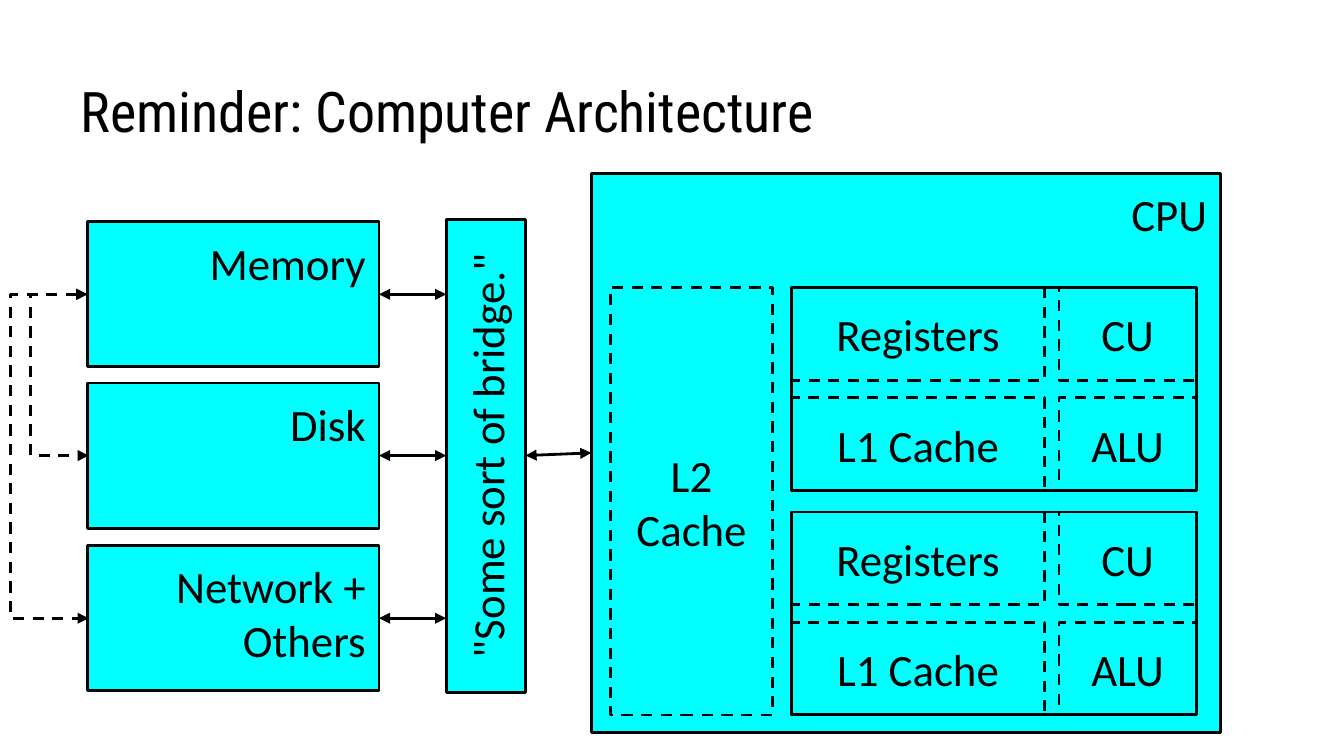
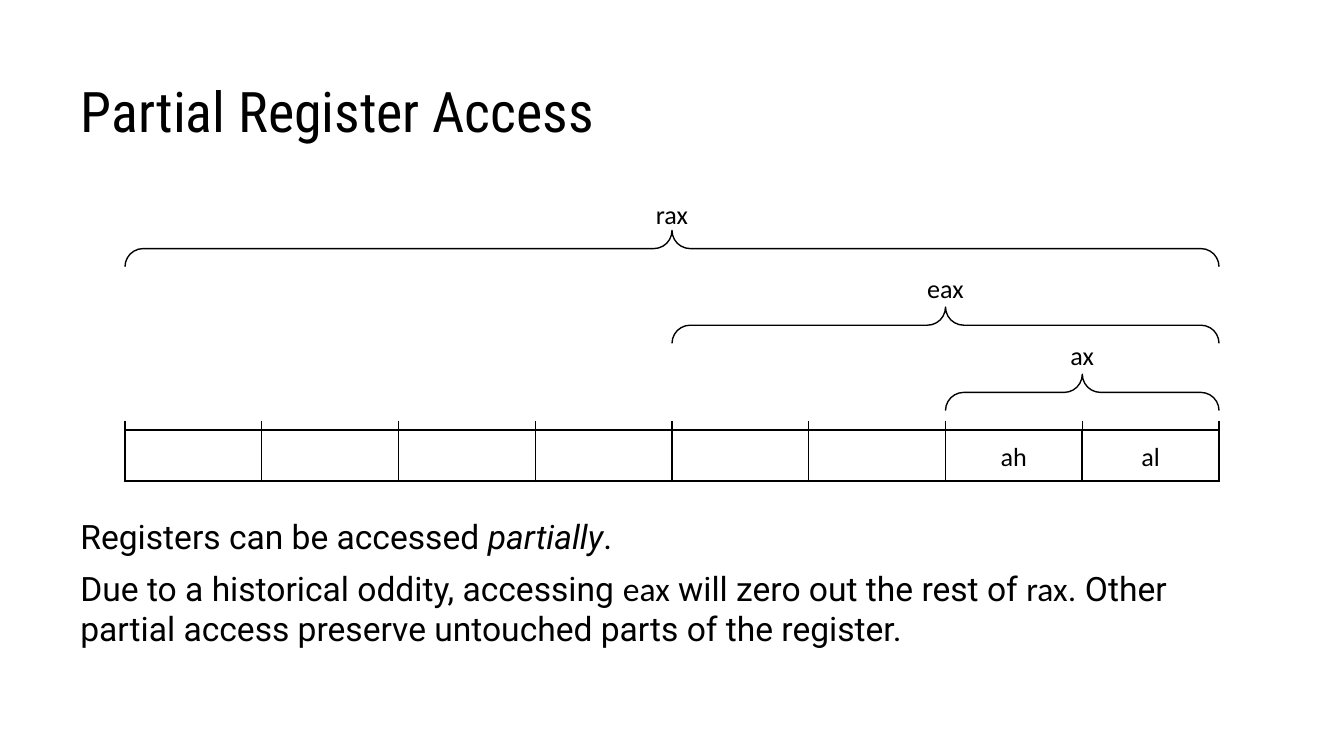
from lxml.etree import SubElement
from pptx import Presentation
from pptx.dml.color import RGBColor
from pptx.enum.dml import MSO_LINE
from pptx.enum.shapes import MSO_CONNECTOR, MSO_SHAPE
from pptx.enum.text import MSO_ANCHOR, MSO_AUTO_SIZE, PP_ALIGN
from pptx.oxml.ns import qn
from pptx.util import Inches, Pt

BLACK = RGBColor(0x00, 0x00, 0x00)
CYAN = RGBColor(0x00, 0xFF, 0xFF)
TITLE_FONT = "Roboto Condensed"
BODY_FONT = "Roboto"
LABEL_FONT = "Calibri"
TITLE_ONLY = 5
SLIDE_WIDTH = Inches(10)
SLIDE_HEIGHT = SLIDE_WIDTH * 9 // 16

THICK, THIN = 1.5, 0.75
BLOCK_SIZE, REGISTER_SIZE = 24, 14

DEVICE_LEFT, DEVICE_WIDTH, DEVICE_HEIGHT = 0.65, 2.17, 1.08
DEVICES = [("Memory", 1.65), ("Disk", 2.85), ("Network + Others", 4.06)]
BRIDGE_LEFT, BRIDGE_WIDTH, BRIDGE_LENGTH, BRIDGE_MIDDLE = 3.32, 0.59, 3.52, 3.39
CPU_LEFT = 4.4
CORE_LEFT, CORE_WIDTH, CORE_HEIGHT = 5.89, 3.01, 1.51
CORE_TOPS = [2.14, 3.81]
CORE_COLUMNS = [(0, 1.88), (1.99, 1.02)]
CORE_UNITS = [["Registers", "CU"], ["L1 Cache", "ALU"]]
UNIT_HEIGHT, UNIT_PITCH = 0.69, 0.82

BYTES = 8
REGISTER_LEFT, REGISTER_RIGHT = 0.93, 9.07
REGISTER_TOP, REGISTER_HEIGHT = 3.2, 0.38
BYTE_WIDTH = (REGISTER_RIGHT - REGISTER_LEFT) / BYTES
BRACE_DEPTH = 0.27
NAMED_PARTS = [("rax", 8, 1.85, 1.4), ("eax", 4, 2.42, 1.95), ("ax", 2, 2.92, 2.45)]


def set_frame(frame, anchor):
    frame.word_wrap = True
    frame.auto_size = MSO_AUTO_SIZE.NONE
    frame.vertical_anchor = anchor
    frame.margin_left = frame.margin_right = Inches(0.1)
    frame.margin_top = frame.margin_bottom = Inches(0.1)


def add_run(paragraph, text, size, font=LABEL_FONT, italic=False):
    run = paragraph.add_run()
    run.text = text
    run.font.name = font
    run.font.size = Pt(size)
    run.font.italic = italic
    run.font.color.rgb = BLACK


def write_lines(frame, lines, size, align, anchor):
    set_frame(frame, anchor)
    for index, line in enumerate(lines):
        paragraph = frame.add_paragraph() if index else frame.paragraphs[0]
        paragraph.alignment = align
        add_run(paragraph, line, size)


def add_titled_slide(deck, heading):
    slide = deck.slides.add_slide(deck.slide_layouts[TITLE_ONLY])
    title = slide.shapes.title
    title.left, title.top = Inches(0.5), Inches(0.23)
    title.width, title.height = Inches(9), Inches(0.94)
    set_frame(title.text_frame, MSO_ANCHOR.BOTTOM)
    paragraph = title.text_frame.paragraphs[0]
    paragraph.alignment = PP_ALIGN.LEFT
    add_run(paragraph, heading, 30, TITLE_FONT)
    return slide


def style_line(line, weight, dashed=False):
    line.color.rgb = BLACK
    line.width = Pt(weight)
    if dashed:
        line.dash_style = MSO_LINE.DASH


def add_outline(slide, left, top, width, height, weight, kind=MSO_SHAPE.RECTANGLE):
    outline = slide.shapes.add_shape(
        kind, Inches(left), Inches(top), Inches(width), Inches(height))
    outline.shadow.inherit = False
    outline.fill.background()
    style_line(outline.line, weight)
    return outline


def add_block(slide, left, top, width, height, lines, align=PP_ALIGN.CENTER,
              anchor=MSO_ANCHOR.MIDDLE, dashed=False):
    block = add_outline(slide, left, top, width, height, THICK)
    block.fill.solid()
    block.fill.fore_color.rgb = CYAN
    style_line(block.line, THICK, dashed)
    write_lines(block.text_frame, lines, BLOCK_SIZE, align, anchor)
    return block


def add_line(slide, start, end, weight, arrows=False, dashed=False,
             kind=MSO_CONNECTOR.STRAIGHT):
    line = slide.shapes.add_connector(
        kind, Inches(start[0]), Inches(start[1]), Inches(end[0]), Inches(end[1]))
    style_line(line.line, weight, dashed)
    properties = line._element.spPr
    if arrows:
        stroke = properties.find(qn("a:ln"))
        for tip in ("a:headEnd", "a:tailEnd"):
            SubElement(stroke, qn(tip), type="triangle")
    SubElement(properties, qn("a:effectLst"))
    return line


def add_direct_path(slide, top, bottom, spine):
    span = 0.01
    route = add_line(slide, (DEVICE_LEFT, top), (DEVICE_LEFT + span, bottom), THICK,
                     arrows=True, dashed=True, kind=MSO_CONNECTOR.ELBOW)
    bend = round((spine - DEVICE_LEFT) / span * 100000)
    guides = route._element.spPr.find(qn("a:prstGeom")).get_or_add_avLst()
    SubElement(guides, qn("a:gd"), name="adj1", fmla=f"val {bend}")


def add_core(slide, top):
    for row, units in enumerate(CORE_UNITS):
        for (offset, width), unit in zip(CORE_COLUMNS, units):
            add_block(slide, CORE_LEFT + offset, top + row * UNIT_PITCH,
                      width, UNIT_HEIGHT, [unit], dashed=True)
    add_outline(slide, CORE_LEFT, top, CORE_WIDTH, CORE_HEIGHT, THICK)


def add_register_label(slide, left, top, name):
    label = slide.shapes.add_textbox(
        Inches(left), Inches(top), Inches(BYTE_WIDTH), Inches(REGISTER_HEIGHT))
    write_lines(label.text_frame, [name], REGISTER_SIZE, PP_ALIGN.CENTER,
                MSO_ANCHOR.MIDDLE)


def add_named_part(slide, name, byte_count, brace_middle, label_top):
    span = byte_count * BYTE_WIDTH
    center = REGISTER_RIGHT - span / 2
    brace = add_outline(slide, center - BRACE_DEPTH / 2, brace_middle - span / 2,
                        BRACE_DEPTH, span, THIN, MSO_SHAPE.LEFT_BRACE)
    brace.adjustments[0] = brace.adjustments[1] = 0.5
    brace.rotation = 90
    add_register_label(slide, center - BYTE_WIDTH / 2, label_top, name)


def add_body(slide, paragraphs):
    body = slide.shapes.add_textbox(Inches(0.5), Inches(3.74), Inches(9), Inches(1.65))
    frame = body.text_frame
    set_frame(frame, MSO_ANCHOR.TOP)
    for index, runs in enumerate(paragraphs):
        paragraph = frame.add_paragraph() if index else frame.paragraphs[0]
        paragraph.space_before = Pt(6)
        for text, font, italic in runs:
            add_run(paragraph, text, 18, font, italic)


def build_architecture(deck):
    slide = add_titled_slide(deck, "Reminder: Computer Architecture")
    add_block(slide, CPU_LEFT, 1.29, 4.68, 4.16, ["CPU"], PP_ALIGN.RIGHT, MSO_ANCHOR.TOP)
    for name, top in DEVICES:
        add_block(slide, DEVICE_LEFT, top, DEVICE_WIDTH, DEVICE_HEIGHT, [name],
                  PP_ALIGN.RIGHT, MSO_ANCHOR.TOP)
    bridge = add_block(
        slide, BRIDGE_LEFT + (BRIDGE_WIDTH - BRIDGE_LENGTH) / 2,
        BRIDGE_MIDDLE - BRIDGE_WIDTH / 2, BRIDGE_LENGTH, BRIDGE_WIDTH,
        ['"Some sort of bridge."'], anchor=MSO_ANCHOR.TOP)
    bridge.rotation = 270

    add_line(slide, (BRIDGE_LEFT + BRIDGE_WIDTH, BRIDGE_MIDDLE), (CPU_LEFT, 3.37),
             THICK, arrows=True)
    middles = [top + DEVICE_HEIGHT / 2 for _, top in DEVICES]
    for middle in middles:
        add_line(slide, (DEVICE_LEFT + DEVICE_WIDTH, middle), (BRIDGE_LEFT, middle),
                 THICK, arrows=True)
    memory, disk, network = middles
    add_direct_path(slide, memory, network, 0.07)
    add_direct_path(slide, memory, disk, 0.22)

    add_block(slide, 4.54, 2.14, 1.21, 3.18, ["L2", "Cache"], dashed=True)
    for top in CORE_TOPS:
        add_core(slide, top)


def build_register_access(deck):
    slide = add_titled_slide(deck, "Partial Register Access")
    for byte_count in (8, 4):
        span = byte_count * BYTE_WIDTH
        add_outline(slide, REGISTER_RIGHT - span, REGISTER_TOP, span,
                    REGISTER_HEIGHT, THIN)
    for position, name in ((6, "ah"), (7, "al")):
        byte = add_outline(slide, REGISTER_LEFT + position * BYTE_WIDTH, REGISTER_TOP,
                           BYTE_WIDTH, REGISTER_HEIGHT, THIN)
        write_lines(byte.text_frame, [name], REGISTER_SIZE, PP_ALIGN.CENTER,
                    MSO_ANCHOR.MIDDLE)
    for position in range(BYTES + 1):
        x = REGISTER_LEFT + position * BYTE_WIDTH
        add_line(slide, (x, 3.59), (x, 3.13), THIN)
    for part in NAMED_PARTS:
        add_named_part(slide, *part)
    add_body(slide, [
        [("Registers can be accessed ", BODY_FONT, False),
         ("partially", BODY_FONT, True),
         (".", BODY_FONT, False)],
        [("Due to a historical oddity, accessing ", BODY_FONT, False),
         ("eax", LABEL_FONT, False),
         (" will zero out the rest of ", BODY_FONT, False),
         ("rax", LABEL_FONT, False),
         (". Other partial access preserve untouched parts of the register.",
          BODY_FONT, False)],
    ])


def main():
    deck = Presentation()
    deck.slide_width, deck.slide_height = SLIDE_WIDTH, SLIDE_HEIGHT
    build_architecture(deck)
    build_register_access(deck)
    deck.save("out.pptx")


if __name__ == "__main__":
    main()
